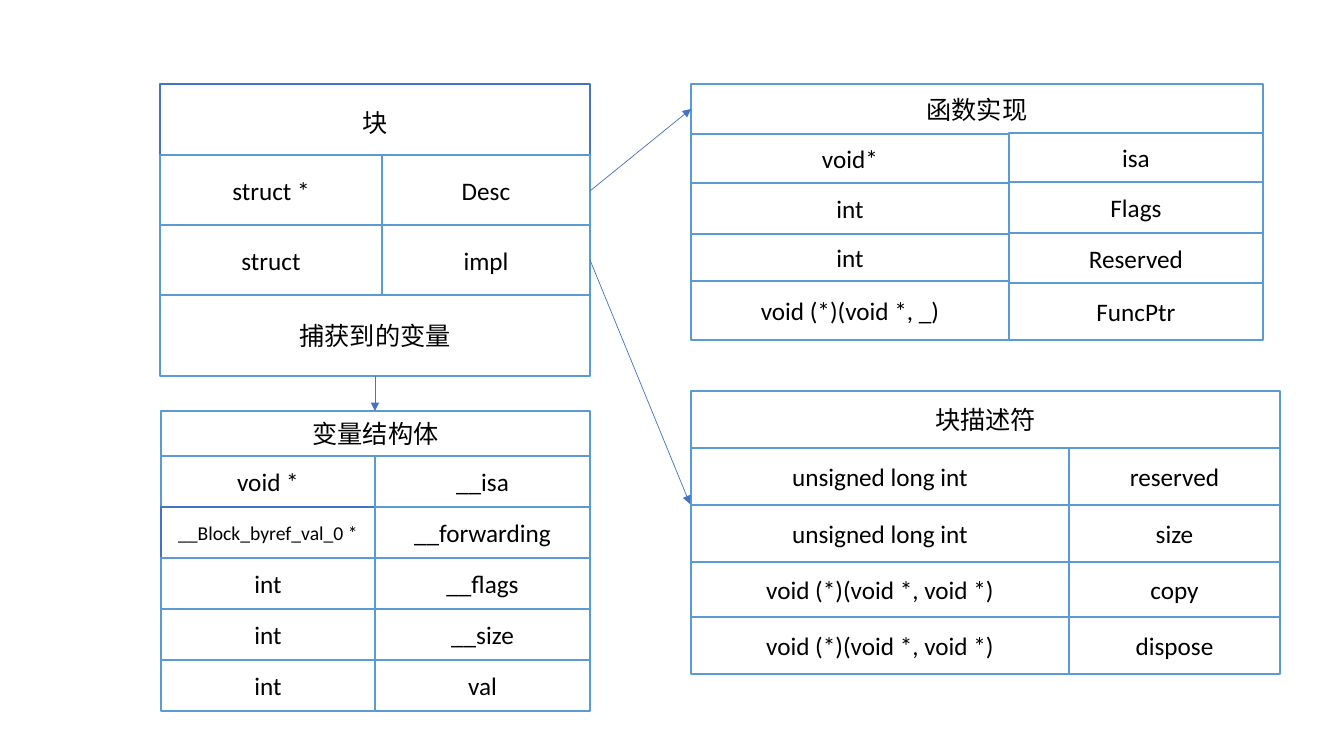
import pptx
import pptx.util
import pptx.dml.color
import pptx.enum.shapes
import pptx.enum.text
import pptx.oxml
import pptx.oxml.ns

SCALE = 914400 / 100.8
WHITE = pptx.dml.color.RGBColor(0xFF, 0xFF, 0xFF)
BLACK = pptx.dml.color.RGBColor(0, 0, 0)
LIGHT_BLUE = pptx.dml.color.RGBColor(0x5B, 0x9B, 0xD5)
DARK_BLUE = pptx.dml.color.RGBColor(0x44, 0x72, 0xC4)


def emu(pixels):
    return pptx.util.Emu(round(pixels * SCALE))


def write_text(shape, text, size=18, color=BLACK, font="Calibri"):
    frame = shape.text_frame
    frame.word_wrap = True
    frame.vertical_anchor = pptx.enum.text.MSO_ANCHOR.MIDDLE
    para = frame.paragraphs[0]
    para.alignment = pptx.enum.text.PP_ALIGN.CENTER
    span = para.add_run()
    span.text = text
    span.font.size = pptx.util.Pt(size)
    span.font.name = font
    span.font.color.rgb = color


def add_cell(parent, box, text, outline=LIGHT_BLUE, **text_format):
    cell = parent.shapes.add_shape(pptx.enum.shapes.MSO_SHAPE.RECTANGLE, *map(emu, box))
    cell.shadow.inherit = False
    cell.fill.solid()
    cell.fill.fore_color.rgb = WHITE
    cell.line.color.rgb = outline
    cell.line.width = pptx.util.Pt(1)
    write_text(cell, text, **text_format)


def add_struct(page, box, title, title_height, columns, title_outline=LIGHT_BLUE, special=None):
    """Each column is (left, width, row edges, texts), measured from the box corner."""
    left, top, width = box
    special = special or {}
    group = page.shapes.add_group_shape()
    add_cell(group, (left, top, width, title_height), title, outline=title_outline)
    for offset, column_width, edges, texts in columns:
        for start, end, text in zip(edges, edges[1:], texts):
            add_cell(group, (left + offset, top + start, column_width, end - start),
                     text, **special.get(text, {}))


def add_arrow(page, start, end):
    arrow = page.shapes.add_connector(pptx.enum.shapes.MSO_CONNECTOR.STRAIGHT,
                                      *map(emu, start + end))
    arrow.line.color.rgb = DARK_BLUE
    arrow.line.width = pptx.util.Pt(0.5)
    line = arrow.line._get_or_add_ln()
    head = pptx.oxml.parse_xml(f'<a:tailEnd {pptx.oxml.ns.nsdecls("a")} type="triangle"/>')
    line.append(head)
    effects = pptx.oxml.parse_xml(f'<a:effectLst {pptx.oxml.ns.nsdecls("a")}/>')
    line.addnext(effects)


def build_page(page):
    # Function implementation
    add_struct(page, (691, 84, 572), "函数实现", 50, [
        (0, 318, [50, 99, 150, 197, 256], ["void*", "int", "int", "void (*)(void *, _)"]),
        (318, 254, [49, 98, 149, 199, 256], ["isa", "Flags", "Reserved", "FuncPtr"]),
    ])

    # Block descriptor
    edges = [57, 114, 171, 226, 283]
    add_struct(page, (691, 391, 589), "块描述符", 57, [
        (0, 378, edges, ["unsigned long int"] * 2 + ["void (*)(void *, void *)"] * 2),
        (378, 211, edges, ["reserved", "size", "copy", "dispose"]),
    ])

    # Block
    edges = [71, 141, 211]
    add_struct(page, (160, 84, 430), "块", 76, [
        (0, 222, edges, ["struct *", "struct"]),
        (222, 208, edges, ["Desc", "impl"]),
        (0, 430, [211, 292], ["捕获到的变量"]),
    ], title_outline=DARK_BLUE)

    # Variable structure
    edges = [45 + 51 * row for row in range(6)]
    add_struct(page, (161, 411, 429), "变量结构体", 45, [
        (0, 214, edges, ["void *", "__Block_byref_val_0 *", "int", "int", "int"]),
        (214, 215, edges, ["__isa", "__forwarding", "__flags", "__size", "val"]),
    ], special={"__Block_byref_val_0 *": {"size": 14, "outline": DARK_BLUE}})

    # Pointers between the structures
    add_arrow(page, (590, 191), (691, 109))
    add_arrow(page, (590, 260), (690, 504))
    add_arrow(page, (375, 376), (375, 411))


deck = pptx.Presentation()
deck.slide_width = emu(1344)
deck.slide_height = emu(756)
build_page(deck.slides.add_slide(deck.slide_layouts[6]))
deck.save("out.pptx")
